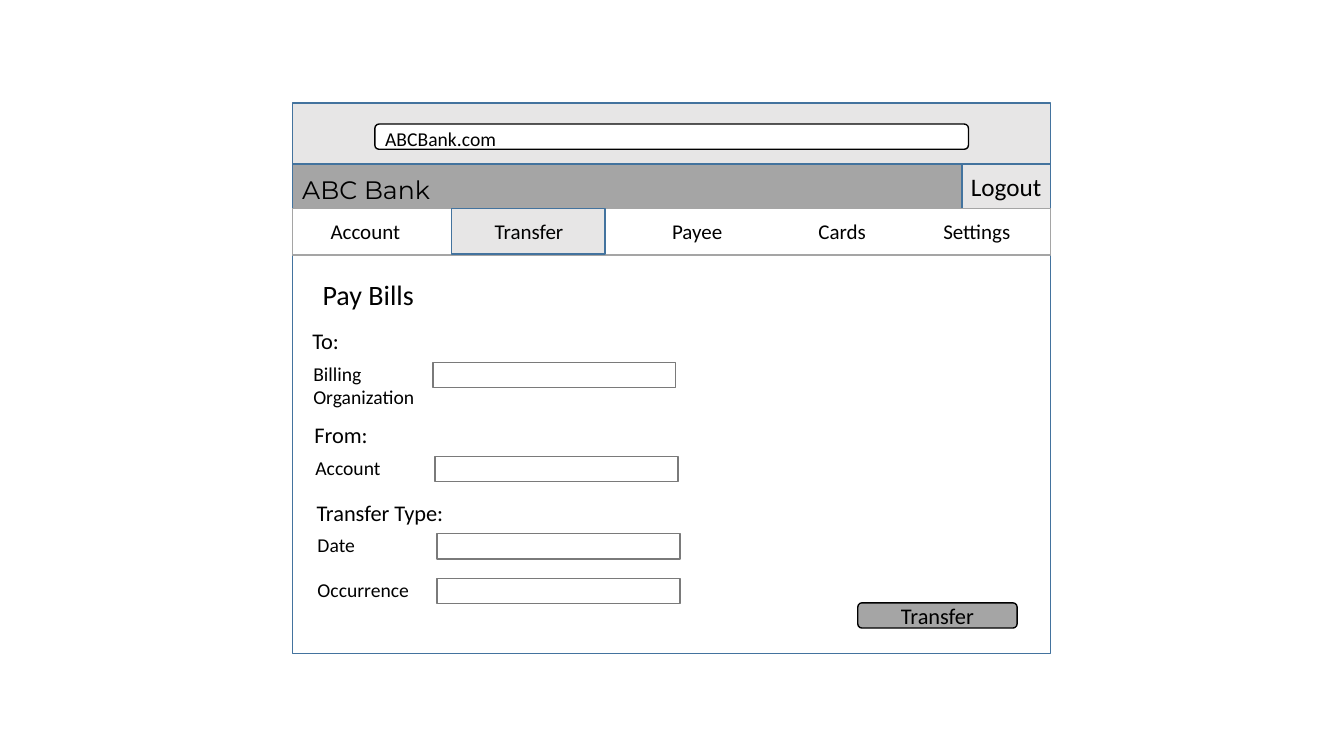
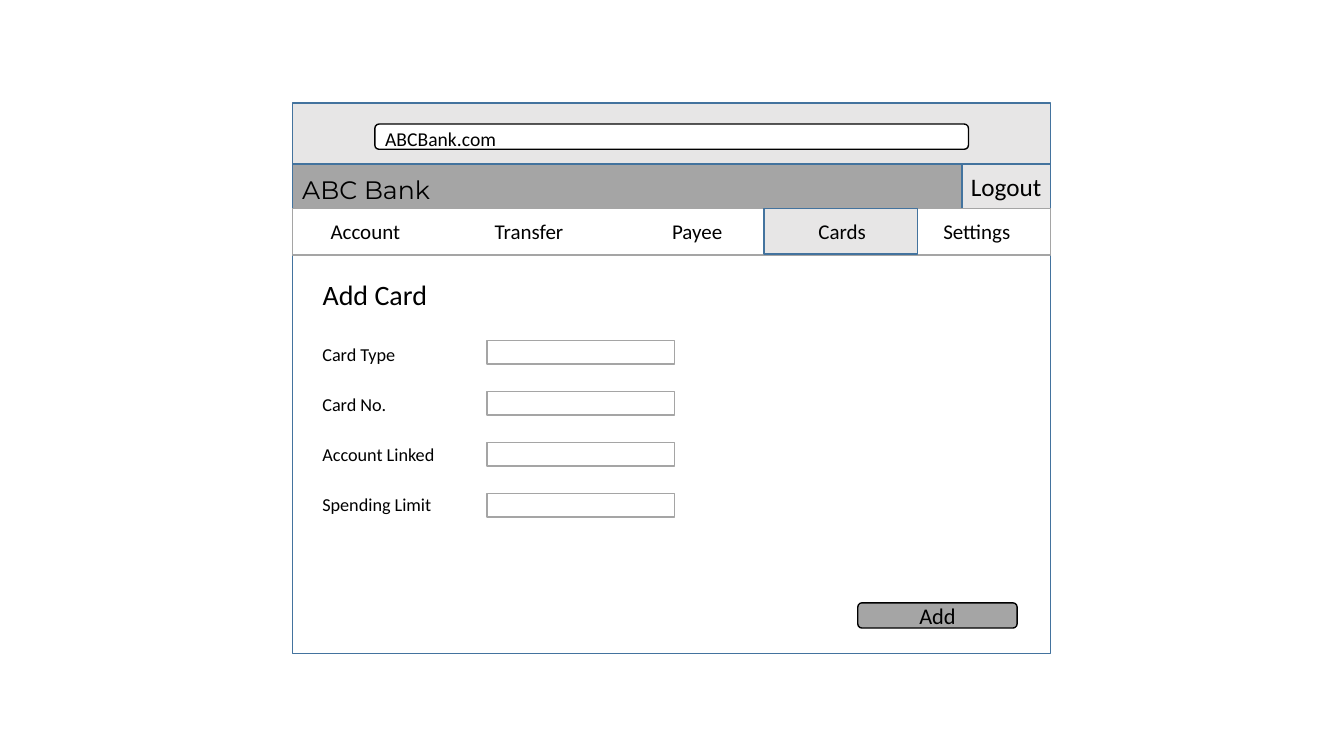
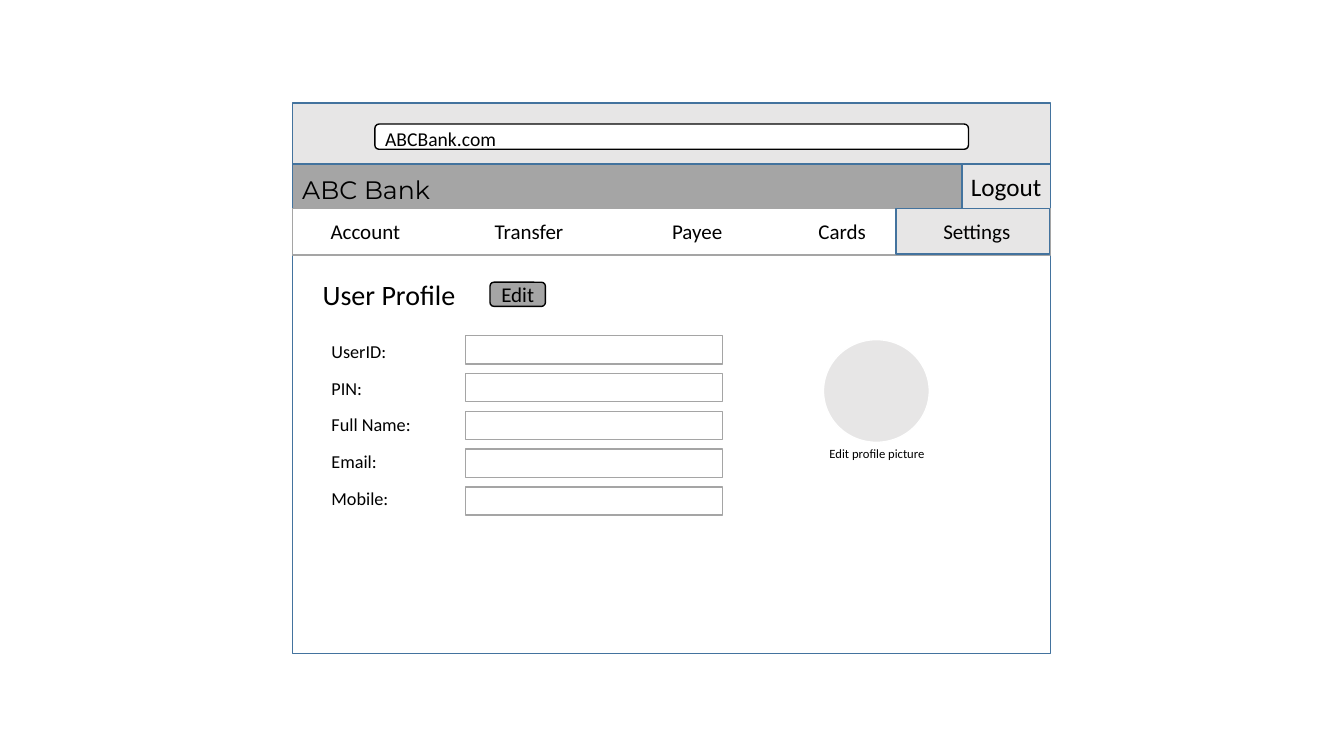
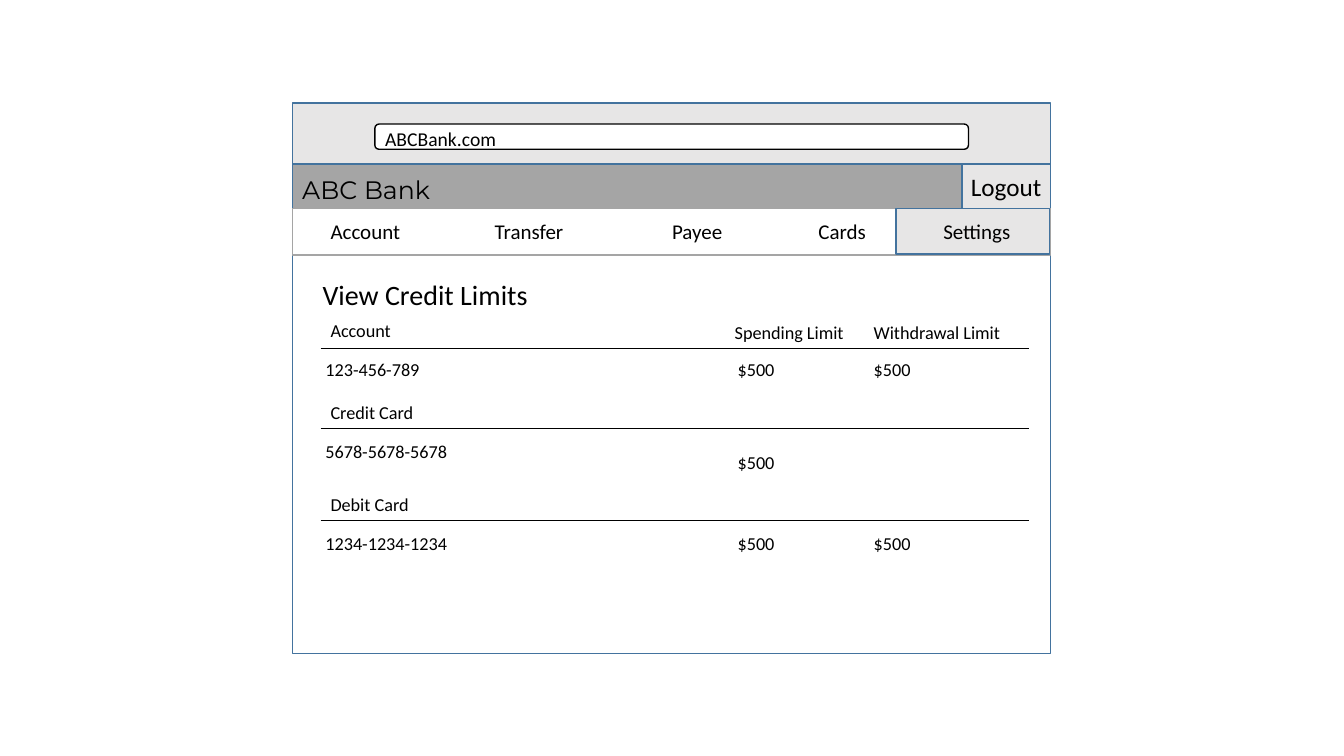
from lxml import etree
from pptx import Presentation
from pptx.dml.color import RGBColor
from pptx.enum import shapes, text
from pptx.oxml import ns
from pptx.util import Pt

BLACK, WHITE = "000000", "FFFFFF"
BLUE, PALE, GREY, DARK = "43739E", "E7E6E6", "A5A5A5", "7A7A7A"
RECT = shapes.MSO_SHAPE.RECTANGLE
ROUND = shapes.MSO_SHAPE.ROUNDED_RECTANGLE
OVAL = shapes.MSO_SHAPE.OVAL
LEFT, CENTER = text.PP_ALIGN.LEFT, text.PP_ALIGN.CENTER

ADDRESS, BRAND, LOGOUT = "ABCBank.com", "ABC Bank", "Logout"
TABS = [
    ("Account", 229), ("Transfer", 346.3), ("Payee", 473),
    ("Cards", 577.5), ("Settings", 666.7),
]
ACTIVE_LEFT = {"Transfer": 322.6, "Cards": 545.8, "Settings": 640}

PAY_SECTIONS = [
    ("To:", 230.4, ["Billing Organization"]),
    ("From:", 297.4, ["Account"]),
    ("Transfer Type:", 352.8, ["Date", "Occurrence"]),
]
CARD_FORM = {
    "labels": ["Card Type", "Card No.", "Account Linked", "Spending Limit"],
    "label_at": (223.2, 242), "label_pitch": 35.5, "label_width": 116,
    "entry_at": (347.8, 243.4), "entry_pitch": 36.4, "entry_size": (134, 16.6),
}
PROFILE_FORM = {
    "labels": ["UserID:", "PIN:", "Full Name:", "Email:", "Mobile:"],
    "label_at": (229.7, 239.8), "label_pitch": 26.1, "label_width": 112,
    "entry_at": (332.5, 239.8), "entry_pitch": 27, "entry_size": (183.6, 20.2),
}
LIMIT_COLUMNS = [("Spending Limit", 517.7, 519.8), ("Withdrawal Limit", 617, 617)]
LIMIT_GROUPS = [
    ("Account", 224.6, 249.1, "123-456-789", 252.7, ["$500", "$500"], 252.7),
    ("Credit Card", 283, 306, "5678-5678-5678", 311, ["$500"], 319),
    ("Debit Card", 348.5, 371.5, "1234-1234-1234", 376.6, ["$500", "$500"], 377),
]

FRAME_LEFT, FRAME_WIDTH = 208.8, 541.5
BAR_TOP, BRAND_TOP, TABS_TOP, FRAME_BOTTOM = 73.5, 117.2, 149, 467
LOGOUT_WIDTH = 63.2
ACTION_AT = (612.7, 430.6, 113.8, 18)


def color(code):
    return RGBColor.from_string(code)


def apply(target, values):
    for name, value in values.items():
        setattr(target, name, value)


def write(part, words, size, font="Calibri", align=LEFT, **frame_format):
    frame = part.text_frame
    frame.text = words
    apply(frame, {"word_wrap": True, **frame_format})
    paragraph = frame.paragraphs[0]
    paragraph.alignment = align
    apply(paragraph.runs[0].font, {"name": font, "size": Pt(size)})
    paragraph.runs[0].font.color.rgb = color(BLACK)


def label(slide, words, left, top, width, size):
    part = slide.shapes.add_textbox(Pt(left), Pt(top), Pt(width), Pt(size * 1.22 + 7.2))
    write(part, words, size, auto_size=text.MSO_AUTO_SIZE.SHAPE_TO_FIT_TEXT)


def panel(slide, box, fill, outline, kind=RECT):
    part = slide.shapes.add_shape(kind, *map(Pt, box))
    part.shadow.inherit = False
    part.fill.solid()
    part.fill.fore_color.rgb = color(fill)
    part.line.color.rgb = color(outline)
    part.line.width = Pt(1)
    return part


def write_in(part, words, size, **options):
    margins = {"margin_top": 0, "margin_bottom": 0}
    write(part, words, size, **{
        **margins, "vertical_anchor": text.MSO_ANCHOR.MIDDLE, **options})


def button(slide, words, box, size):
    write_in(panel(slide, box, GREY, BLACK, ROUND), words, size, align=CENTER,
             margin_left=0, margin_right=0)


def rule(slide, left, right, top):
    line = slide.shapes.add_connector(
        shapes.MSO_CONNECTOR.STRAIGHT, Pt(left), Pt(top), Pt(right), Pt(top))
    line.line.color.rgb = color(BLACK)
    line.line.width = Pt(0.5)
    etree.SubElement(line.element.spPr, ns.qn("a:effectLst"))


def page(deck, heading, active):
    slide = deck.slides.add_slide(deck.slide_layouts[5])

    def band(top, bottom, fill, outline=BLUE):
        return panel(slide, (FRAME_LEFT, top, FRAME_WIDTH, bottom - top), fill, outline)

    band(BRAND_TOP, FRAME_BOTTOM, WHITE)
    band(BAR_TOP, BRAND_TOP, PALE)
    address = panel(slide, (267.8, 88.6, 424, 18), WHITE, BLACK, ROUND)
    write_in(address, ADDRESS, 14, margin_top=Pt(3), margin_left=Pt(6.5))
    write_in(band(BRAND_TOP, TABS_TOP, GREY), BRAND, 18, font="Montserrat",
             margin_top=Pt(5))
    logout_left = FRAME_LEFT + FRAME_WIDTH - LOGOUT_WIDTH
    logout = panel(slide, (logout_left, BRAND_TOP, LOGOUT_WIDTH, TABS_TOP - BRAND_TOP),
                   PALE, BLUE)
    write_in(logout, LOGOUT, 18, align=CENTER, margin_left=0, margin_right=0)
    band(TABS_TOP, 182.1, WHITE, GREY)
    panel(slide, (ACTIVE_LEFT[active], TABS_TOP, 109.5, 32.4), PALE, BLUE)
    for name, left in TABS:
        label(slide, name, left, 152.3, 87, 15)

    title = slide.shapes.title
    title.element.getparent().append(title.element)
    apply(title, {"left": Pt(223.2), "top": Pt(194.4),
                  "width": Pt(219), "height": Pt(31.7)})
    write(title, heading, 20, vertical_anchor=text.MSO_ANCHOR.TOP,
          auto_size=text.MSO_AUTO_SIZE.NONE)
    return slide


def form(slide, labels, label_at, label_pitch, label_width,
         entry_at, entry_pitch, entry_size):
    for row, name in enumerate(labels):
        label(slide, name, label_at[0], label_at[1] + row * label_pitch, label_width, 13)
        entry_top = entry_at[1] + row * entry_pitch
        panel(slide, (entry_at[0], entry_top, *entry_size), WHITE, GREY)


def pay_bills(deck):
    slide = page(deck, "Pay Bills", "Transfer")
    for step, (section, top, names) in enumerate(PAY_SECTIONS):
        left = 216 + step * 1.5
        label(slide, section, left, top, 120, 16)
        for row, name in enumerate(names):
            row_top = top + 24.5 + row * 31.7
            label(slide, name, left + 0.7, row_top, 103.7, 14)
            panel(slide, (left + 93.2, row_top + 4, 173.5, 18), WHITE, DARK)
    button(slide, "Transfer", ACTION_AT, 16)


def add_card(deck):
    slide = page(deck, "Add Card", "Cards")
    form(slide, **CARD_FORM)
    button(slide, "Add", ACTION_AT, 16)


def user_profile(deck):
    slide = page(deck, "User Profile", "Settings")
    panel(slide, (588.2, 242.6, 75.6, 73.4), PALE, WHITE, OVAL)
    label(slide, "Edit profile picture", 585.4, 314.6, 99.4, 9)
    form(slide, **PROFILE_FORM)
    button(slide, "Edit", (350, 201.6, 39.6, 17.3), 15)


def credit_limits(deck):
    slide = page(deck, "View Credit Limits", "Settings")
    for name, left, _ in LIMIT_COLUMNS:
        label(slide, name, left, 226, 118, 13)
    for group, top, rule_top, number, number_top, amounts, amount_top in LIMIT_GROUPS:
        label(slide, group, 229, top, 120, 13)
        rule(slide, 229, 735, rule_top)
        label(slide, number, 225.4, number_top, 175, 13)
        for amount, (_, _, left) in zip(amounts, LIMIT_COLUMNS):
            label(slide, amount, left, amount_top, 90, 13)


deck = Presentation()
apply(deck, {"slide_width": Pt(960), "slide_height": Pt(540)})
for build in (pay_bills, add_card, user_profile, credit_limits):
    build(deck)
deck.save("out.pptx")
